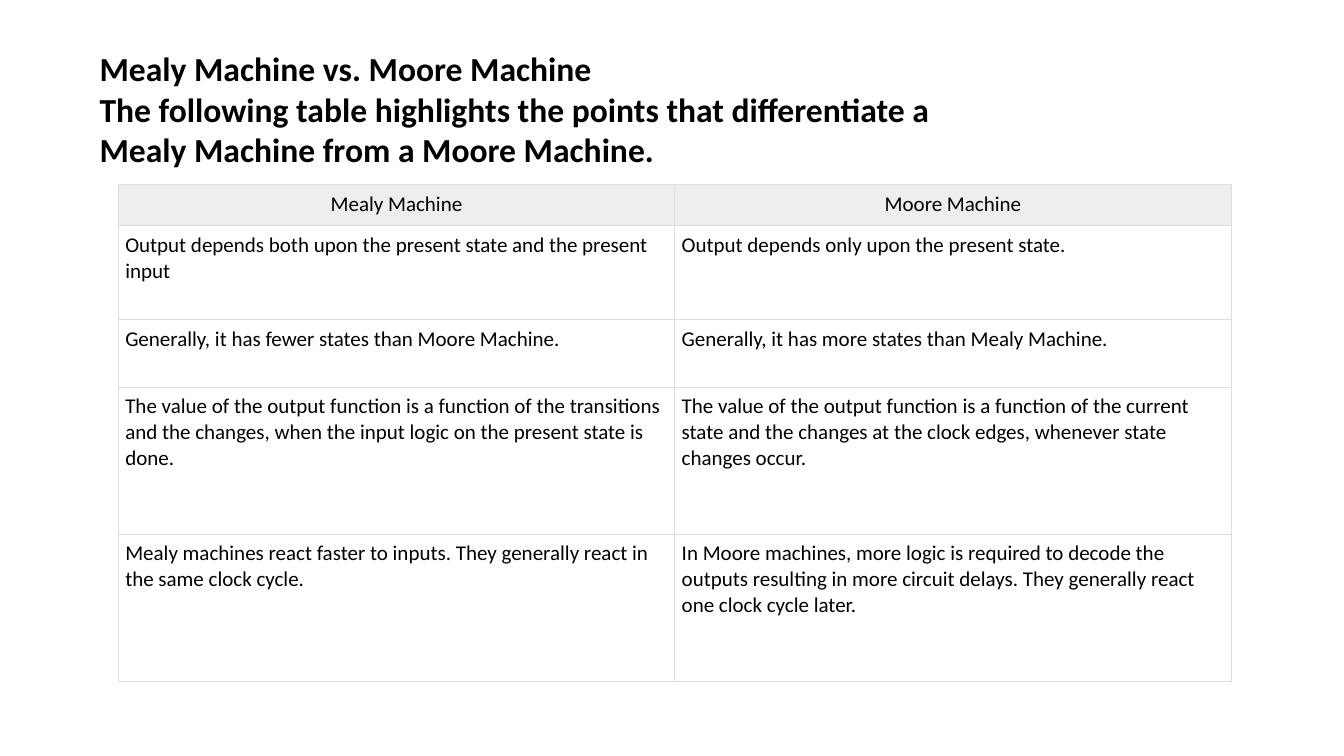
import dataclasses
import typing

import lxml.etree
import pptx
import pptx.dml.color
import pptx.enum.text
import pptx.oxml.ns
import pptx.util

Pt = pptx.util.Pt
ALIGN = pptx.enum.text.PP_ALIGN
COLORS = {"text": "000000", "head": "EEEEEE", "border": "DDDDDD"}
INSET = Pt(5)
COLUMN = Pt(397.5)

TITLE = (
    "Mealy Machine vs. Moore Machine",
    "The following table highlights the points that differentiate a Mealy Machine from a Moore Machine.",
)


@dataclasses.dataclass
class Row:
    height: float
    mealy: str
    moore: str
    head: bool = False


ROWS = [
    Row(29.5, "Mealy Machine", "Moore Machine", head=True),
    Row(67, "Output depends both upon the present state and the present input",
        "Output depends only upon the present state."),
    Row(48.5, "Generally, it has fewer states than Moore Machine.",
        "Generally, it has more states than Mealy Machine."),
    Row(105, "The value of the output function is a function of the transitions and the changes, "
        "when the input logic on the present state is done.",
        "The value of the output function is a function of the current state and the changes "
        "at the clock edges, whenever state changes occur."),
    Row(105, "Mealy machines react faster to inputs. They generally react in the same clock cycle.",
        "In Moore machines, more logic is required to decode the outputs resulting in more "
        "circuit delays. They generally react one clock cycle later."),
]


def color(name: str) -> pptx.dml.color.RGBColor:
    return pptx.dml.color.RGBColor.from_string(COLORS[name])


def apply(target: typing.Any, values: dict[str, typing.Any]) -> None:
    """Set each named attribute of the target."""
    for name, value in values.items():
        setattr(target, name, value)


def write(para: typing.Any, text: str, size: float, bold: bool, align: ALIGN) -> None:
    para.alignment = align
    run = para.add_run()
    run.text = text
    apply(run.font, {"name": "Calibri", "size": Pt(size), "bold": bold})
    run.font.color.rgb = color("text")


def border(cell: typing.Any) -> None:
    """Draw a thin line on all four sides; lines must precede the fill."""
    props = cell._tc.get_or_add_tcPr()
    qn = pptx.oxml.ns.qn
    for index, side in enumerate("LRTB"):
        line = lxml.etree.Element(qn(f"a:ln{side}"), w=str(Pt(0.75)))
        fill = lxml.etree.SubElement(line, qn("a:solidFill"))
        lxml.etree.SubElement(fill, qn("a:srgbClr"), val=COLORS["border"])
        props.insert(index, line)


def fill_cell(cell: typing.Any, text: str, head: bool) -> None:
    sides = ("left", "right", "top", "bottom")
    apply(cell, {f"margin_{side}": INSET for side in sides})
    if head:
        cell.fill.solid()
        cell.fill.fore_color.rgb = color("head")
    else:
        cell.fill.background()
    border(cell)
    align = ALIGN.CENTER if head else ALIGN.LEFT
    write(cell.text_frame.paragraphs[0], text, 15, False, align)


def add_title(slide: typing.Any) -> None:
    frame = slide.shapes.add_textbox(Pt(64), Pt(31), Pt(671), Pt(116.5)).text_frame
    apply(frame, {"word_wrap": True,
                  "auto_size": pptx.enum.text.MSO_AUTO_SIZE.SHAPE_TO_FIT_TEXT})
    for index, text in enumerate(TITLE):
        para = frame.add_paragraph() if index else frame.paragraphs[0]
        write(para, text, 24, True, ALIGN.LEFT)


def add_grid(slide: typing.Any) -> None:
    height = Pt(sum(row.height for row in ROWS))
    table = slide.shapes.add_table(
        len(ROWS), 2, Pt(84.5), Pt(131.5), 2 * COLUMN, height).table
    apply(table, {"first_row": False, "horz_banding": False})
    for line, row in zip(table.rows, ROWS):
        line.height = Pt(row.height)
        for cell, text in zip(line.cells, (row.mealy, row.moore)):
            fill_cell(cell, text, row.head)


def main() -> None:
    deck = pptx.Presentation()
    apply(deck, {"slide_width": Pt(960), "slide_height": Pt(540)})
    slide = deck.slides.add_slide(deck.slide_layouts[6])
    add_title(slide)
    add_grid(slide)
    deck.save("out.pptx")


if __name__ == "__main__":
    main()
